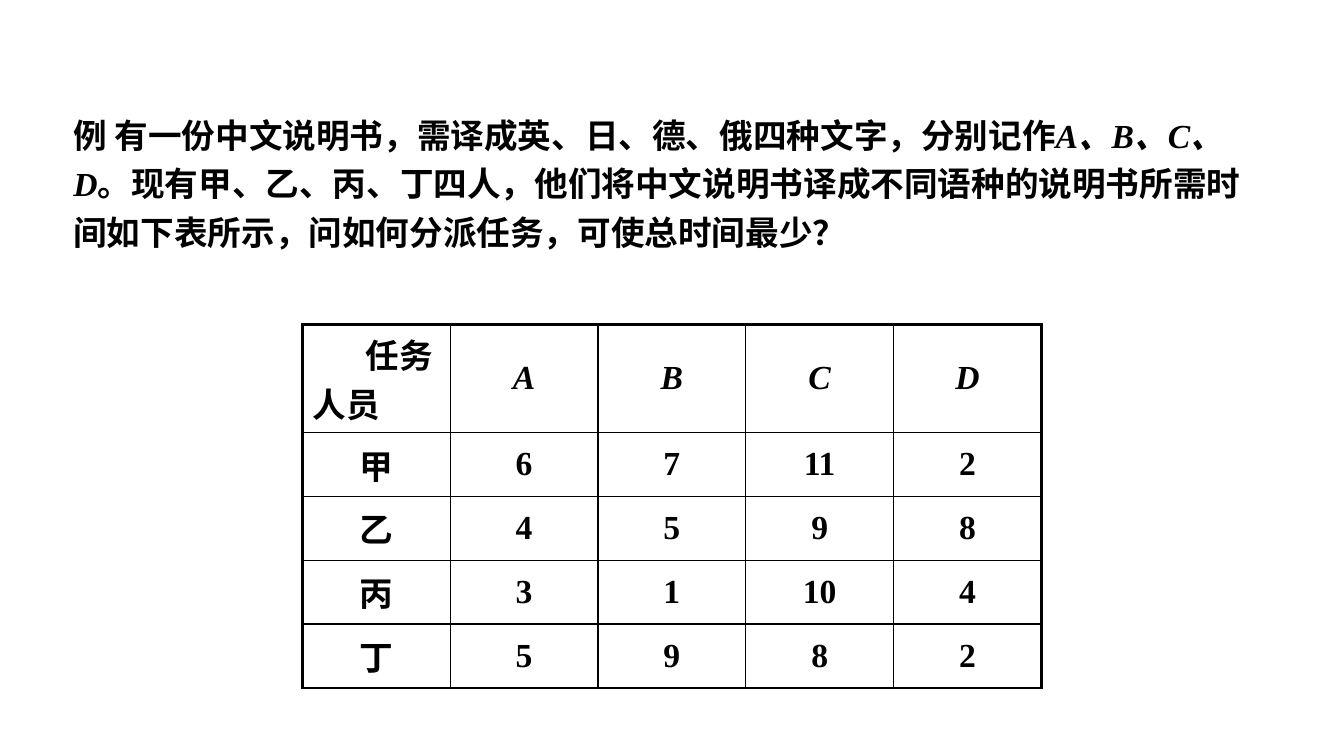
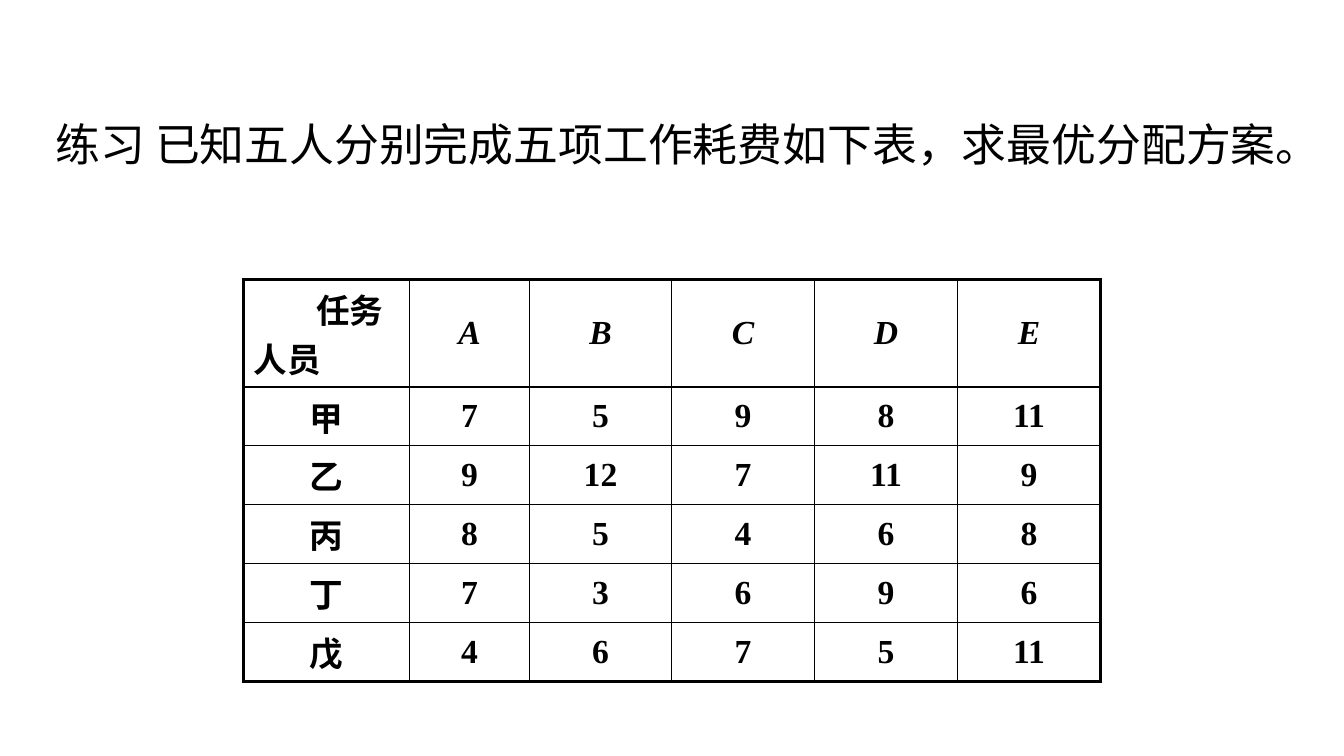
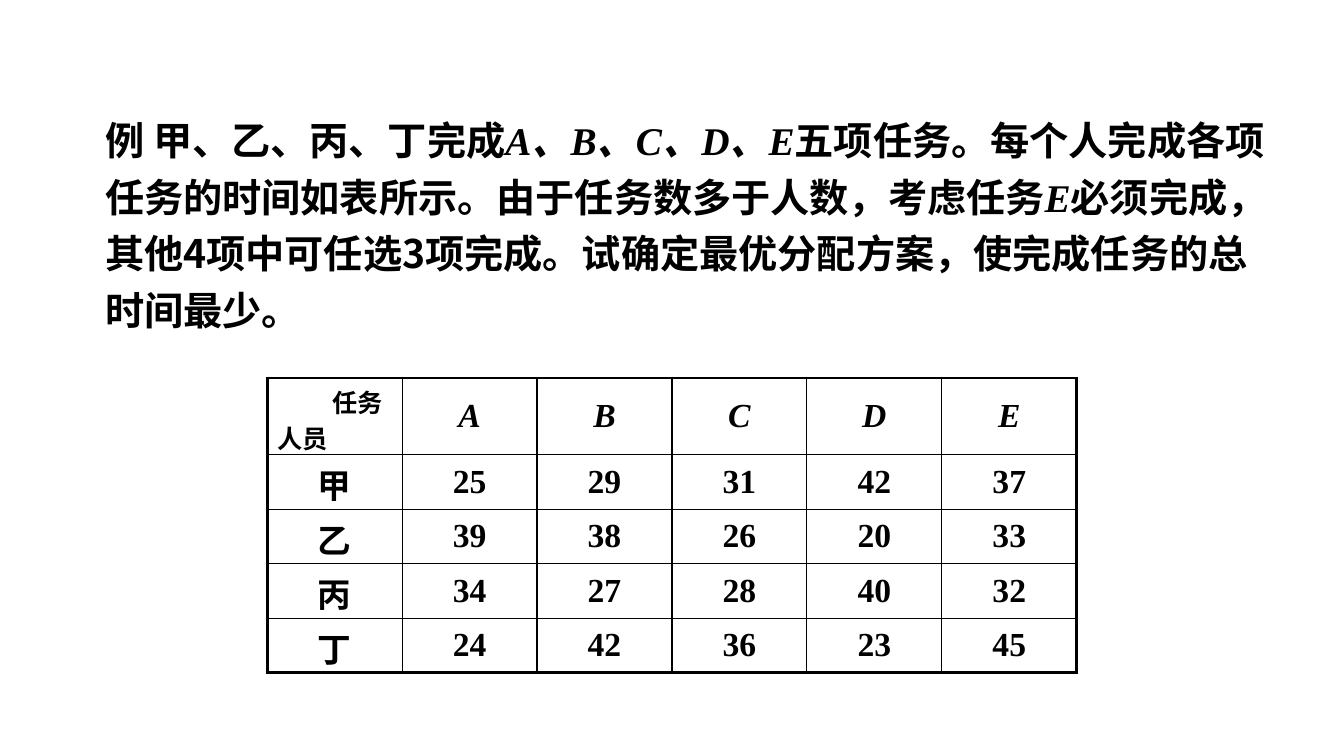
from lxml import etree
from pptx import Presentation
from pptx import util as u
from pptx.dml.color import RGBColor
from pptx.enum import lang, text
from pptx.oxml.ns import qn

WIDE, HIGH = 13.33, 7.5
INK = "000000"
SANS, SERIF, HAN, KANJI = "Arial", "Times New Roman", "Noto Sans CJK SC", "Noto Sans CJK JP"
THIN, THICK = 1, 2.25
TASK_SHIFT = 0.46


def across(share):
    """Percent of the slide's width."""
    return u.Inches(WIDE * share / 100)


def down(share):
    """Percent of the slide's height."""
    return u.Inches(HIGH * share / 100)


def tint(code):
    return RGBColor.from_string(code)


def assign(item, values):
    for name, value in values.items():
        setattr(item, name, value)


def add_run(para, words, size, face, han=HAN, **style):
    """Add a run with one face for Latin and one for Chinese characters."""
    run = para.add_run()
    run.text = words
    assign(run.font, dict(size=u.Pt(size), name=face,
                          language_id=lang.MSO_LANGUAGE_ID.SIMPLIFIED_CHINESE, **style))
    run.font.color.rgb = tint(INK)
    etree.SubElement(run.font._element, qn("a:ea"), typeface=han)


def add_task(slide, place, words, size, face=HAN, bold=True, spacing=1.2):
    """Add the problem text; every second part between bars is a symbol in italics."""
    x, y, w, h = place
    frame = slide.shapes.add_textbox(across(x), down(y), across(w), down(h)).text_frame
    frame.word_wrap = True
    para = frame.paragraphs[0]
    para.line_spacing = spacing
    for i, part in enumerate(words.split("|")):
        if i % 2:
            add_run(para, part, size, SERIF, bold=bold, italic=True)
        else:
            add_run(para, part, size, face, face, bold=bold)


def edge(cell, side, width):
    line = etree.SubElement(cell._tc.get_or_add_tcPr(), qn("a:ln" + side), w=str(u.Pt(width)))
    fill = etree.SubElement(line, qn("a:solidFill"))
    etree.SubElement(fill, qn("a:srgbClr"), val=INK)


def fill_corner(cell, size):
    """Label the columns at upper right and the rows at lower left."""
    head = cell.text_frame.paragraphs[0]
    head.alignment = text.PP_ALIGN.CENTER
    head._p.get_or_add_pPr().set("marL", str(u.Inches(TASK_SHIFT)))
    add_run(head, "任务", size, SANS, bold=True)
    add_run(cell.text_frame.add_paragraph(), "人员", size, SANS, bold=True)


def add_costs(slide, place, rows, heights, weights=None, corner=24):
    """Add a cost table with people down the side and tasks along the top."""
    x, y, w = place
    tasks = "ABCDE"[:len(rows[0]) - 1]
    grid = [["", *tasks], *rows]
    tall, wide = len(grid), len(grid[0])
    weights = weights or [1] * wide
    first, rest = heights
    table = slide.shapes.add_table(tall, wide, across(x), down(y), across(w),
                                   down(first + rest * len(rows))).table
    assign(table, dict(first_row=False, horz_banding=False))
    for col, weight in zip(table.columns, weights):
        col.width = across(w * weight / sum(weights))
    for r, line in enumerate(grid):
        table.rows[r].height = down(rest if r else first)
        for c, value in enumerate(line):
            cell = table.cell(r, c)
            cell.vertical_anchor = text.MSO_ANCHOR.MIDDLE
            outer = dict(L=c == 0, R=c == wide - 1, T=r == 0, B=r == tall - 1)
            for side, rim in outer.items():
                edge(cell, side, THICK if rim else THIN)
            cell.fill.background()
            if r == c == 0:
                fill_corner(cell, corner)
                continue
            para = cell.text_frame.paragraphs[0]
            para.alignment = text.PP_ALIGN.CENTER
            add_run(para, str(value), 24, SERIF if c else SANS, bold=True, italic=r == 0)


def main():
    deck = Presentation()
    assign(deck, dict(slide_width=across(100), slide_height=down(100)))
    four, five, spare = [deck.slides.add_slide(deck.slide_layouts[6]) for _ in range(3)]

    add_task(four, (4.72, 13.47, 90.55, 28.4),
             "例 有一份中文说明书，需译成英、日、德、俄四种文字，分别记作|A、B、C、D|"
             "。现有甲、乙、丙、丁四人，他们将中文说明书译成不同语种的说明书所需时间"
             "如下表所示，问如何分派任务，可使总时间最少？", 24)
    add_costs(four, (22.5, 42.93, 54.98),
              [["甲", 6, 7, 11, 2], ["乙", 4, 5, 9, 8],
               ["丙", 3, 1, 10, 4], ["丁", 5, 9, 8, 2]], (14.28, 8.45))

    add_task(five, (3.38, 15.6, 93.25, 14.67),
             "练习 已知五人分别完成五项工作耗费如下表，求最优分配方案。",
             32, face=KANJI, bold=False, spacing=0.9)
    add_costs(five, (18.12, 36.93, 63.78),
              [["甲", 7, 5, 9, 8, 11], ["乙", 9, 12, 7, 11, 9], ["丙", 8, 5, 4, 6, 8],
               ["丁", 7, 3, 6, 9, 6], ["戊", 4, 6, 7, 5, 11]], (14.26, 7.8),
              weights=[1.65, 1.19, 1.41, 1.42, 1.42, 1.42])

    add_task(spare, (7.08, 13.55, 88.15, 30.53),
             "例 甲、乙、丙、丁完成|A、B、C、D、E|五项任务。每个人完成各项任务的时间如表所示。"
             "由于任务数多于人数，考虑任务|E|必须完成，其他4项中可任选3项完成。"
             "试确定最优分配方案，使完成任务的总时间最少。", 28)
    add_costs(spare, (19.88, 50, 60.24),
              [["甲", 25, 29, 31, 42, 37], ["乙", 39, 38, 26, 20, 33],
               ["丙", 34, 27, 28, 40, 32], ["丁", 24, 42, 36, 23, 45]], (10.13, 7.22),
              corner=18)
    deck.save("out.pptx")


if __name__ == "__main__":
    main()
